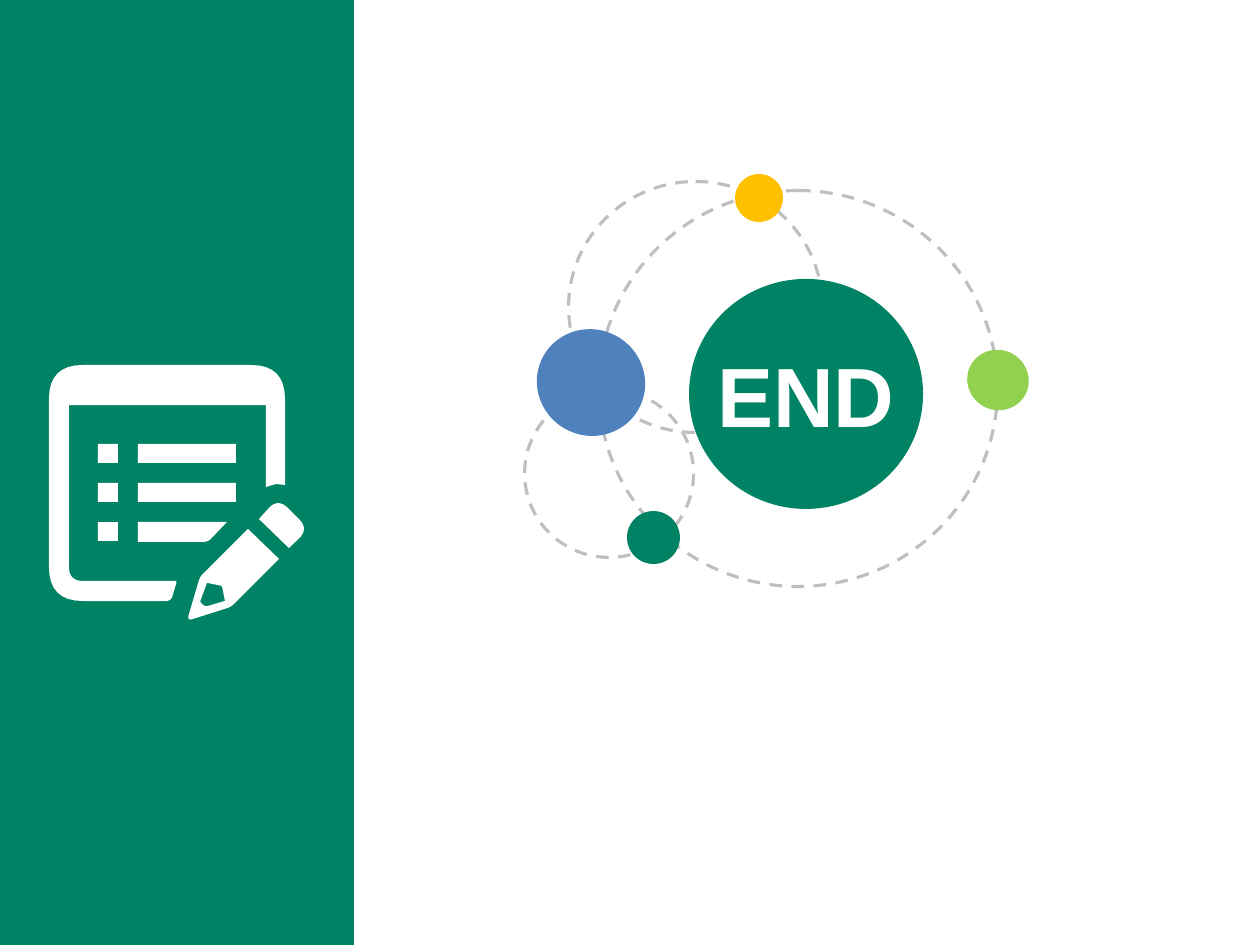
from pptx import Presentation
from pptx.dml.color import RGBColor
from pptx.enum.dml import MSO_LINE
from pptx.enum.shapes import MSO_SHAPE as Preset
from pptx.enum.text import MSO_ANCHOR as Anchor, MSO_AUTO_SIZE as AutoSize, PP_ALIGN as Align
from pptx.util import Pt

PX = 6048
GREEN = RGBColor(0x00, 0x82, 0x64)
WHITE = RGBColor(0xFF, 0xFF, 0xFF)
GREY = RGBColor(0xBF, 0xBF, 0xBF)
BLUE = RGBColor(0x4F, 0x81, 0xBD)
LIME = RGBColor(0x92, 0xD0, 0x50)
AMBER = RGBColor(0xFF, 0xC0, 0x00)

RINGS = [(600, 189, 396, 399), (570, 180, 251, 254), (525, 389, 168, 169)]
PLANETS = [
    ((538, 328, 106, 109), 119, BLUE),
    ((968, 349, 60, 62), 119, LIME),
    ((691, 277, 230, 234), 90, GREEN),
    ((627, 511, 53, 53), 265, GREEN),
    ((735, 174, 48, 48), 119, AMBER),
]
WINDOW = [(177, 581, 2), (171, 601, 5), (49, 601, 34), (49, 365, 34), (285, 365, 34),
          (285, 485, 0), (276, 484, 0), (266, 487, 0), (266, 405, 0), (69, 405, 0), (69, 581, 14)]
PENCIL = [(248, 529, 0), (279, 559, 0), (231, 607, 4), (187, 621, 6), (200, 577, 4)]
PENCIL_TIP = [(207, 583, 0), (222, 586, 2), (225, 601, 0), (205, 607, 4), (200, 602, 2)]
ERASER = [(259, 519, 0), (278, 498, 14), (309, 529, 14), (289, 548, 0)]
CUT_BAR = [(138, 522, 0), (227, 522, 0), (208, 542, 5), (138, 542, 0)]


def rounded(corners, steps=8):
    """Return the outline in EMU, with each (x, y, radius) corner curved."""
    outline = []
    for i, (x, y, radius) in enumerate(corners):
        if not radius:
            outline.append((x * PX, y * PX))
            continue
        ends = []
        for nx, ny, _ in (corners[i - 1], corners[(i + 1) % len(corners)]):
            share = radius / ((nx - x) ** 2 + (ny - y) ** 2) ** 0.5
            ends.append((x + (nx - x) * share, y + (ny - y) * share))
        (ax, ay), (bx, by) = ends
        for step in range(steps + 1):
            t = step / steps
            a, c, b = (1 - t) ** 2, 2 * t * (1 - t), t ** 2
            outline.append(((a * ax + c * x + b * bx) * PX, (a * ay + c * y + b * by) * PX))
    return outline


def write(frame, text, font="Arial", size=40, color=WHITE, bold=True, align=Align.CENTER):
    """Put formatted text into a text frame."""
    paragraph = frame.paragraphs[0]
    paragraph.alignment = align
    run = paragraph.add_run()
    run.text = text
    run.font.name, run.font.size, run.font.bold = font, Pt(size), bold
    run.font.color.rgb = color


class ClosingSlide:
    """Draw elements in one style on the current slide."""

    def __init__(self, deck):
        """Add a slide with a title placeholder."""
        self.slide = deck.slides.add_slide(deck.slide_layouts[5])
        self.shapes = self.slide.shapes

    def paint(self, shape, fill):
        """Give a shape a plain fill without line or shadow."""
        shape.shadow.inherit = False
        shape.line.fill.background()
        if fill is None:
            shape.fill.background()
        else:
            shape.fill.solid()
            shape.fill.fore_color.rgb = fill
        return shape

    def preset(self, kind, box, fill, rotation=0):
        """Add a preset shape."""
        shape = self.shapes.add_shape(kind, *(n * PX for n in box))
        shape.rotation = rotation
        return self.paint(shape, fill)

    def ring(self, box):
        """Add a dashed orbit."""
        line = self.preset(Preset.OVAL, box, None, 90).line
        line.color.rgb = GREY
        line.width = Pt(1.5)
        line.dash_style = MSO_LINE.DASH

    def outline(self, *contours):
        """Add a white freeform made of one or more contours."""
        first, *holes = [rounded(corners) for corners in contours]
        builder = self.shapes.build_freeform(*first[0])
        builder.add_line_segments(first[1:])
        for hole in holes:
            builder.move_to(*hole[0])
            builder.add_line_segments(hole[1:])
        self.paint(builder.convert_to_shape(), WHITE)

    def title(self, text, box):
        """Move the title placeholder to the front and fill it."""
        title = self.shapes.title
        title.left, title.top, title.width, title.height = (n * PX for n in box)
        title.element.getparent().append(title.element)
        frame = title.text_frame
        frame.word_wrap = True
        frame.auto_size = AutoSize.SHAPE_TO_FIT_TEXT
        frame.vertical_anchor = Anchor.MIDDLE
        write(frame, text)


def main():
    """Build and save the closing slide."""
    deck = Presentation()
    deck.slide_width, deck.slide_height = 1260 * PX, 945 * PX
    closing = ClosingSlide(deck)
    closing.preset(Preset.RECTANGLE, (-2, -2, 356, 949), GREEN)
    closing.outline(WINDOW)
    closing.outline(PENCIL, PENCIL_TIP)
    closing.outline(ERASER)
    closing.outline(CUT_BAR)
    for row in range(3):
        top = 444 + 39 * row
        closing.preset(Preset.RECTANGLE, (98, top, 20, 19), WHITE)
        if row < 2:
            closing.preset(Preset.RECTANGLE, (138, top, 98, 19), WHITE)
    for box in RINGS:
        closing.ring(box)
    for box, rotation, fill in PLANETS:
        closing.preset(Preset.OVAL, box, fill, rotation)
    closing.title("END", (700, 336, 212, 116))
    deck.save("out.pptx")


if __name__ == "__main__":
    main()
